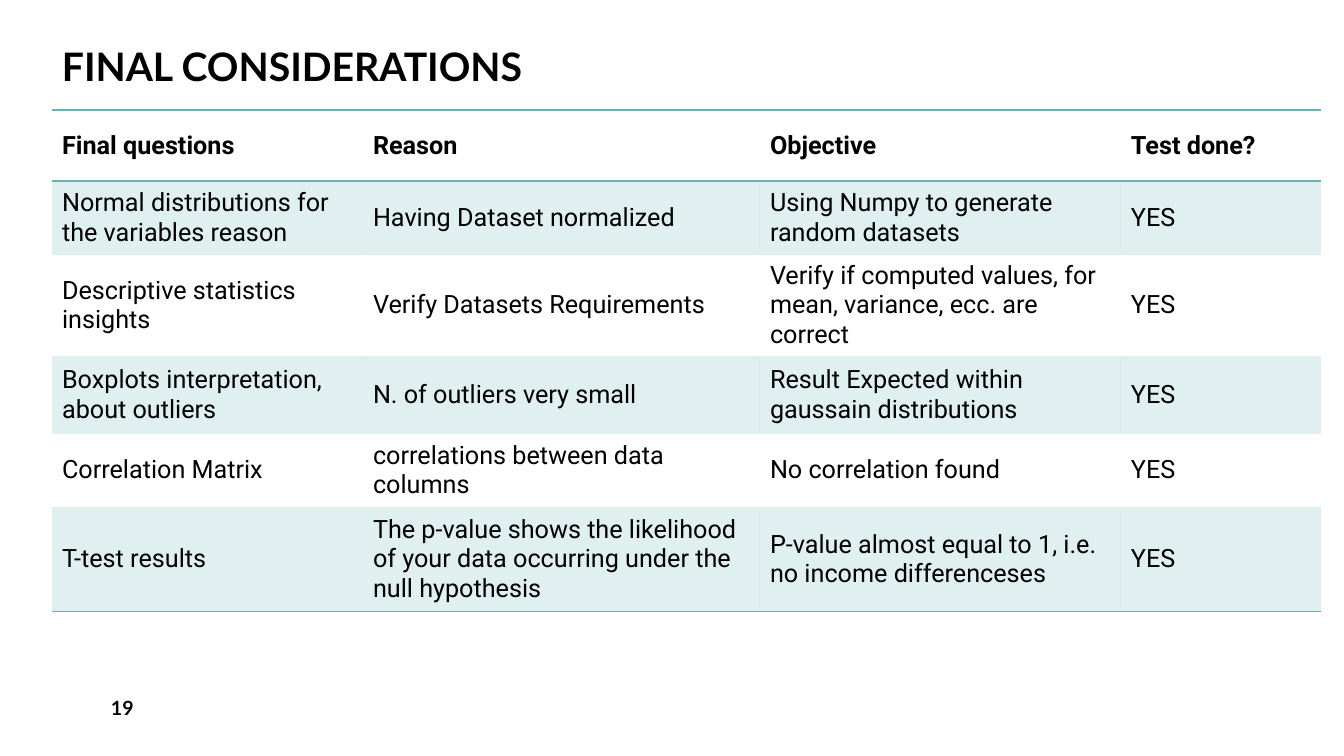
from lxml.etree import SubElement
from pptx import Presentation
from pptx.dml.color import RGBColor
from pptx.enum.text import MSO_ANCHOR as Anchor
from pptx.oxml.ns import qn
from pptx.util import Pt

# Content
TITLE = "FINAL CONSIDERATIONS"
PAGE_NUMBER = "19"
ROWS = [
    ("Final questions", "Reason", "Objective", "Test done?"),
    ("Normal distributions for the variables reason", "Having Dataset normalized",
     "Using Numpy to generate random datasets", "YES"),
    ("Descriptive statistics insights", "Verify Datasets Requirements",
     "Verify if computed values, for mean, variance, ecc. are correct", "YES"),
    ("Boxplots interpretation, about outliers", "N. of outliers very small",
     "Result Expected within gaussain distributions", "YES"),
    ("Correlation Matrix", "correlations between data columns",
     "No correlation found", "YES"),
    ("T-test results",
     "The p-value shows the likelihood of your data occurring under the null hypothesis",
     "P-value almost equal to 1, i.e. no income differenceses", "YES"),
]

# Layout in px
COLUMN_WIDTHS = [311, 397, 361, 200]
ROW_HEIGHTS = [71, 74, 99, 78, 73, 105]
LEFT, TABLE_TOP = 52, 110
BAND_OPACITY = 20

BLACK = RGBColor(0x00, 0x00, 0x00)
TEAL = RGBColor(0x66, 0xB2, 0xB0)


def px(length):
    return round(length * 914400 / 100.8)


def style(paragraph, font_name, size, bold):
    font = paragraph.font if not paragraph.runs else paragraph.runs[0].font
    font.name, font.size, font.bold = font_name, Pt(size), bold
    font.color.rgb = BLACK


def add_text(slide, box, text, size, anchor):
    frame = slide.shapes.add_textbox(*map(px, box)).text_frame
    frame.word_wrap = True
    frame.vertical_anchor = anchor
    frame.text = text
    style(frame.paragraphs[0], "Lato", size, True)
    return frame.paragraphs[0]


def set_borders(cell, ruled_sides):
    properties = cell._tc.get_or_add_tcPr()
    for side in "LRTB":
        line = SubElement(properties, qn(f"a:ln{side}"), w=str(Pt(1)))
        if side in ruled_sides:
            fill = SubElement(line, qn("a:solidFill"))
            SubElement(fill, qn("a:srgbClr"), val=str(TEAL))
        else:
            SubElement(line, qn("a:noFill"))


def set_fill(cell, banded):
    if not banded:
        cell.fill.background()
        return
    cell.fill.solid()
    cell.fill.fore_color.rgb = TEAL
    color = cell._tc.tcPr.find(qn("a:solidFill")).find(qn("a:srgbClr"))
    SubElement(color, qn("a:alpha"), val=str(BAND_OPACITY * 1000))


def add_table(slide):
    table = slide.shapes.add_table(
        len(ROWS), len(COLUMN_WIDTHS), px(LEFT), px(TABLE_TOP),
        px(sum(COLUMN_WIDTHS)), px(sum(ROW_HEIGHTS))).table
    table.first_row = table.horz_banding = False
    for column, width in zip(table.columns, COLUMN_WIDTHS):
        column.width = px(width)
    # Rules frame the header and close the last row
    ruled = {0: "TB", 1: "T", len(ROWS) - 1: "B"}
    for r, (texts, height) in enumerate(zip(ROWS, ROW_HEIGHTS)):
        table.rows[r].height = px(height)
        for c, text in enumerate(texts):
            cell = table.cell(r, c)
            cell.text = text
            cell.vertical_anchor = Anchor.MIDDLE
            style(cell.text_frame.paragraphs[0], "Roboto", 18, r == 0)
            set_borders(cell, ruled.get(r, ""))
            set_fill(cell, r % 2 == 1)


def main():
    presentation = Presentation()
    presentation.slide_width, presentation.slide_height = px(1344), px(756)
    slide = presentation.slides.add_slide(presentation.slide_layouts[6])

    # Title, table and page number
    title = add_text(slide, (LEFT, 27, 570, 68), TITLE, 28, Anchor.BOTTOM)
    title.line_spacing = 0.9
    add_table(slide)
    add_text(slide, (101, 688, 131, 40), PAGE_NUMBER, 14, Anchor.MIDDLE)

    presentation.save("out.pptx")


if __name__ == "__main__":
    main()
